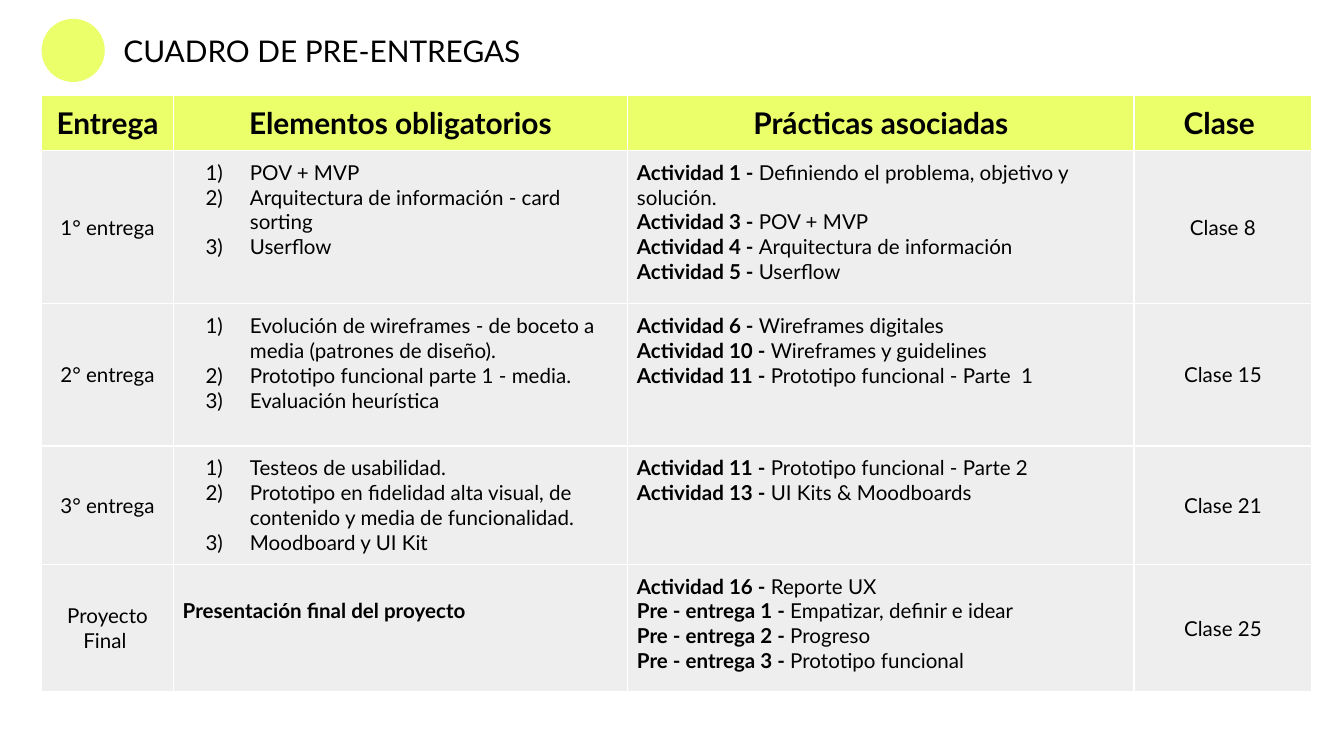
from lxml.etree import SubElement
from pptx import Presentation
from pptx.dml.color import RGBColor
from pptx.enum.shapes import MSO_SHAPE
from pptx.enum.text import MSO_ANCHOR, PP_ALIGN
from pptx.oxml import parse_xml
from pptx.oxml.ns import nsdecls, qn
from pptx.util import Inches, Pt

LIME = RGBColor(0xEA, 0xFF, 0x6A)
GREY = RGBColor(0xEE, 0xEE, 0xEE)
BLACK = RGBColor(0, 0, 0)

# Grid
LEFT, TOP = 0.31, 0.71
COLUMNS = [0.98, 3.38, 3.77, 1.32]
ROWS = [0.41, 1.14, 1.06, 0.88, 0.95]
BADGE_TOP, BADGE = 0.14, 0.47
MARGIN = 0.07

HEADERS = ["Entrega", "Elementos obligatorios", "Prácticas asociadas", "Clase "]
# Delivery, required elements, (label, practice) pairs, class
DELIVERIES = [
    ("1° entrega",
     ["POV + MVP", "Arquitectura de información - card sorting", "Userflow"],
     [("Actividad 1 - ", "Definiendo el problema, objetivo y solución."),
      ("Actividad 3 - ", "POV + MVP"),
      ("Actividad 4 - ", "Arquitectura de información"),
      ("Actividad 5 - ", "Userflow")],
     "Clase 8"),
    ("2° entrega",
     ["Evolución de wireframes - de boceto a media (patrones de diseño).",
      "Prototipo funcional parte 1 - media.", "Evaluación heurística"],
     [("Actividad 6 - ", "Wireframes digitales"),
      ("Actividad 10 - ", "Wireframes y guidelines"),
      ("Actividad 11 - ", "Prototipo funcional - Parte  1")],
     "Clase 15"),
    ("3° entrega",
     ["Testeos de usabilidad.",
      "Prototipo en fidelidad alta visual, de contenido y media de funcionalidad.",
      "Moodboard y UI Kit"],
     [("Actividad 11 - ", "Prototipo funcional - Parte 2"),
      ("Actividad 13 - ", "UI Kits & Moodboards")],
     "Clase 21"),
    ("Proyecto Final ",
     ["Presentación final del proyecto"],
     [("Actividad 16 - ", "Reporte UX"),
      ("Pre - entrega 1 - ", "Empatizar, definir e idear"),
      ("Pre - entrega 2 - ", "Progreso"),
      ("Pre - entrega 3 - ", "Prototipo funcional")],
     "Clase 25"),
]


def add_run(p, text, size, bold=False):
    r = p.add_run()
    r.text = text
    r.font.name = "Lato"
    r.font.size = Pt(size)
    r.font.bold = bold
    r.font.color.rgb = BLACK


def style_cell(cell, color):
    cell.margin_left = cell.margin_right = Inches(MARGIN)
    cell.margin_top = cell.margin_bottom = Inches(MARGIN)
    tc_pr = cell._tc.get_or_add_tcPr()
    for side in ("lnL", "lnR", "lnT", "lnB"):
        tc_pr.append(parse_xml(
            f'<a:{side} {nsdecls("a")} w="{Pt(1)}"><a:solidFill>'
            f'<a:srgbClr val="FFFFFF"/></a:solidFill></a:{side}>'))
    cell.fill.solid()
    cell.fill.fore_color.rgb = color


# Widescreen slide, 16:9
prs = Presentation()
prs.slide_width = Inches(10)
prs.slide_height = prs.slide_width * 9 // 16
s = prs.slides.add_slide(prs.slide_layouts[6])

# Table
table = s.shapes.add_table(len(ROWS), len(COLUMNS), Inches(LEFT), Inches(TOP),
                           Inches(sum(COLUMNS)), Inches(sum(ROWS))).table
for column, width in zip(table.columns, COLUMNS):
    column.width = Inches(width)
for row, height in zip(table.rows, ROWS):
    row.height = Inches(height)

# Header row
for i, header in enumerate(HEADERS):
    cell = table.cell(0, i)
    style_cell(cell, LIME)
    p = cell.text_frame.paragraphs[0]
    p.alignment = PP_ALIGN.CENTER
    add_run(p, header, 16, True)

# Delivery rows
for i, (name, elements, practices, lesson) in enumerate(DELIVERIES, 1):
    cells = [table.cell(i, j) for j in range(len(COLUMNS))]
    for cell in cells:
        style_cell(cell, GREY)

    for cell, text in ((cells[0], name), (cells[3], lesson)):
        cell.vertical_anchor = MSO_ANCHOR.MIDDLE
        p = cell.text_frame.paragraphs[0]
        p.alignment = PP_ALIGN.CENTER
        add_run(p, text, 11)

    numbered = len(elements) > 1
    if not numbered:
        cells[1].margin_top = Inches(MARGIN) + Pt(13.2)  # one line lower
    tf = cells[1].text_frame
    for k, element in enumerate(elements):
        p = tf.add_paragraph() if k else tf.paragraphs[0]
        if numbered:
            p_pr = p._p.get_or_add_pPr()
            p_pr.set("marL", str(Inches(0.5)))
            p_pr.set("indent", str(Inches(-0.33)))
            SubElement(p_pr, qn("a:buAutoNum"), type="arabicParenR")
        add_run(p, element, 11, not numbered)

    tf = cells[2].text_frame
    for k, (label, practice) in enumerate(practices):
        p = tf.add_paragraph() if k else tf.paragraphs[0]
        add_run(p, label, 11, True)
        add_run(p, practice, 11)

# Title
title = s.shapes.add_textbox(Inches(0.82), Inches(BADGE_TOP), Inches(4.58), Inches(BADGE))
tf = title.text_frame
tf.word_wrap = True
tf.margin_left = tf.margin_right = tf.margin_top = tf.margin_bottom = Inches(0.1)
add_run(tf.paragraphs[0], "CUADRO DE PRE-ENTREGAS", 16)

# Badge
badge = s.shapes.add_shape(MSO_SHAPE.OVAL, Inches(LEFT), Inches(BADGE_TOP),
                           Inches(BADGE), Inches(BADGE))
badge.shadow.inherit = False
badge.fill.solid()
badge.fill.fore_color.rgb = LIME
badge.line.fill.background()

prs.save("out.pptx")
